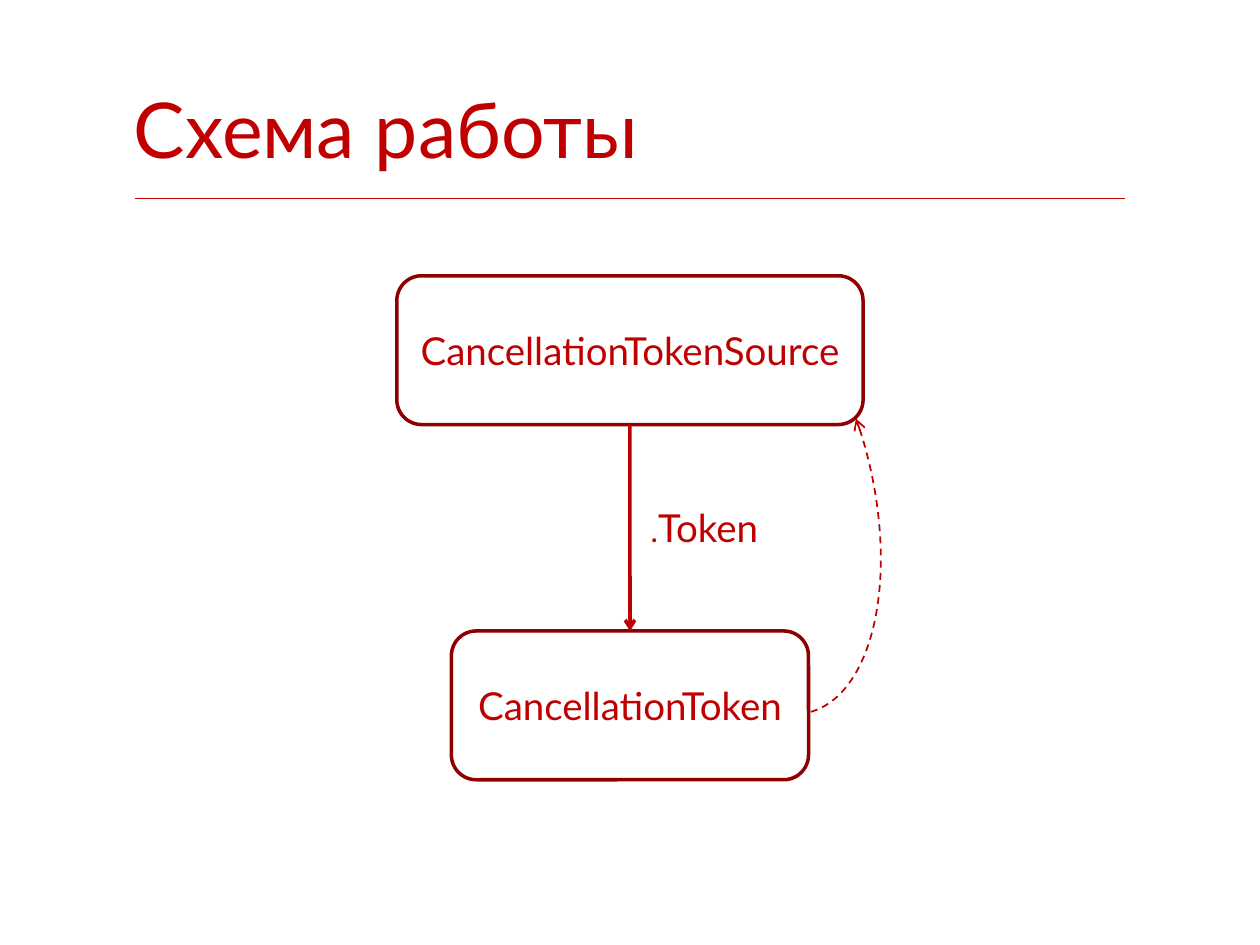
from lxml.etree import SubElement
from pptx import Presentation
from pptx.dml.color import RGBColor
from pptx.enum.dml import MSO_LINE
from pptx.enum.shapes import MSO_CONNECTOR, MSO_SHAPE
from pptx.enum.text import MSO_ANCHOR, MSO_AUTO_SIZE, PP_ALIGN
from pptx.oxml.ns import qn
from pptx.util import Cm, Pt

WHITE = RGBColor(0xFF, 0xFF, 0xFF)
TEXT_RED = RGBColor(0xC0, 0x00, 0x00)
ARROW_RED = RGBColor(0xBC, 0x00, 0x00)
BORDER_RED = RGBColor(0x8E, 0x00, 0x00)
AXIS, BOX_HEIGHT = 12.7, 3
BOTTOM, TOP = 2, 0


class Scheme:
    """Draws the parts of a scheme on one slide in a shared style."""

    font = "Lato"

    def __init__(self, slide):
        self.slide = slide
        self.shapes = slide.shapes

    def format_run(self, run, size):
        run.font.name = self.font
        run.font.size = Pt(size)
        run.font.bold = False
        run.font.color.rgb = TEXT_RED

    def format_line(self, line, color, width):
        line.color.rgb = color
        line.width = Pt(width)

    def add_arrowhead(self, shape, end):
        SubElement(shape.line._get_or_add_ln(), qn(f"a:{end}"), type="arrow")

    def add_border(self, cell, side, color):
        properties = cell._tc.get_or_add_tcPr()
        border = SubElement(properties, qn(f"a:{side}"), w=str(Pt(1)))
        fill = SubElement(border, qn("a:solidFill"))
        SubElement(fill, qn("a:srgbClr"), val=str(color))

    def heading(self, wording, left, top, width, height):
        table = self.shapes.add_table(
            1, 1, Cm(left), Cm(top), Cm(width), Cm(height)
        ).table
        table.first_row = table.horz_banding = False
        cell = table.cell(0, 0)
        cell.text_frame.text = wording
        cell.margin_left, cell.margin_right = 0, Cm(0.25)
        cell.margin_top = cell.margin_bottom = Cm(0.17)
        cell.vertical_anchor = MSO_ANCHOR.TOP
        self.format_run(cell.text_frame.paragraphs[0].runs[0], 44)
        for side in ("lnL", "lnR", "lnT"):
            self.add_border(cell, side, WHITE)
        self.add_border(cell, "lnB", TEXT_RED)
        cell.fill.background()

    def box(self, wording, top, width):
        node = self.shapes.add_shape(
            MSO_SHAPE.ROUNDED_RECTANGLE,
            Cm(AXIS - width / 2), Cm(top), Cm(width), Cm(BOX_HEIGHT),
        )
        node.shadow.inherit = False
        node.fill.background()
        self.format_line(node.line, BORDER_RED, 2)
        frame = node.text_frame
        frame.text = wording
        frame.vertical_anchor = MSO_ANCHOR.MIDDLE
        frame.paragraphs[0].alignment = PP_ALIGN.CENTER
        self.format_run(frame.paragraphs[0].runs[0], 22)
        return node

    def arrow(self, upper, lower):
        link = self.shapes.add_connector(MSO_CONNECTOR.STRAIGHT, 0, 0, 0, 0)
        link.begin_connect(upper, BOTTOM)
        link.end_connect(lower, TOP)
        self.format_line(link.line, ARROW_RED, 2)
        self.add_arrowhead(link, "tailEnd")
        SubElement(link._element.spPr, qn("a:effectLst"))

    def label(self, sized_parts, left, top, width, height):
        caption = self.shapes.add_textbox(Cm(left), Cm(top), Cm(width), Cm(height))
        frame = caption.text_frame
        frame.word_wrap = True
        frame.auto_size = MSO_AUTO_SIZE.SHAPE_TO_FIT_TEXT
        paragraph = frame.paragraphs[0]
        paragraph.alignment = PP_ALIGN.CENTER
        for wording, size in sized_parts:
            run = paragraph.add_run()
            run.text = wording
            self.format_run(run, size)

    def return_arc(self, left, top, width, height, rotation, start_angle):
        curve = self.shapes.add_shape(
            MSO_SHAPE.ARC, Cm(left), Cm(top), Cm(width), Cm(height)
        )
        curve.rotation = rotation
        curve.adjustments[0] = start_angle * 0.6
        curve.adjustments[1] = 0
        curve.shadow.inherit = False
        curve.fill.background()
        self.format_line(curve.line, ARROW_RED, 1)
        curve.line.dash_style = MSO_LINE.DASH
        self.add_arrowhead(curve, "headEnd")


def main():
    presentation = Presentation()
    presentation.slide_width, presentation.slide_height = Cm(25.4), Cm(19.05)
    scheme = Scheme(presentation.slides.add_slide(presentation.slide_layouts[6]))
    scheme.heading("Схема работы", 2.7, 1.5, 20, 2.5)
    source = scheme.box("CancellationTokenSource", 5.56, 9.4)
    token = scheme.box("CancellationToken", 12.72, 7.2)
    scheme.arrow(source, token)
    scheme.label([(".", 18), ("Token", 22)], AXIS, 10.03, 3, 1.2)
    scheme.return_arc(10.74, 7.62, 9.07, 4.65, 77.2, 245.51)
    presentation.save("out.pptx")


if __name__ == "__main__":
    main()
